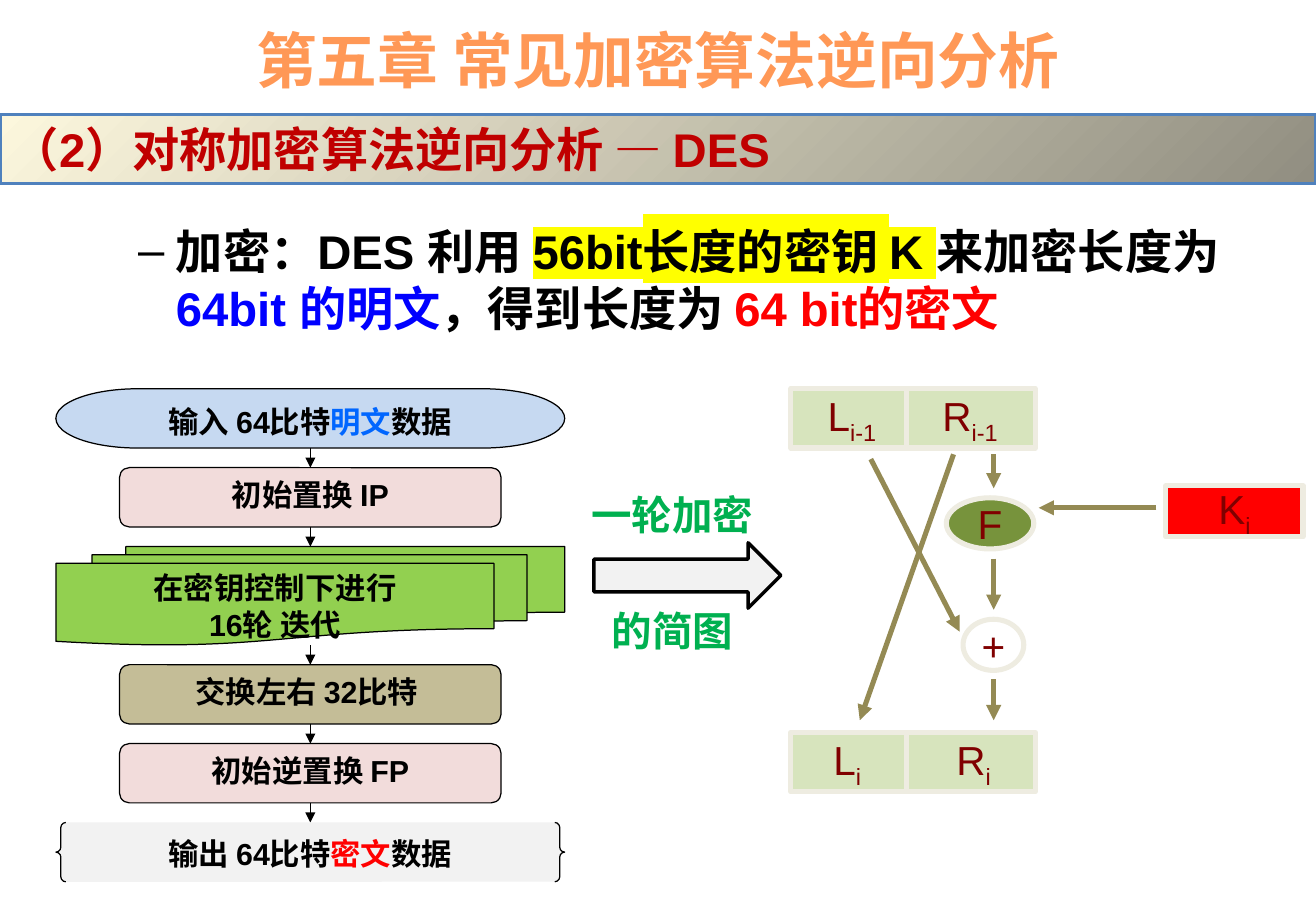
from lxml import etree
from pptx import Presentation
from pptx.dml.color import RGBColor
from pptx.enum.shapes import MSO_CONNECTOR, MSO_SHAPE
from pptx.enum.text import MSO_ANCHOR, PP_ALIGN
from pptx.oxml.ns import qn
from pptx.util import Cm, Pt

CREAM, OLIVE, MAROON = "EEECE1", "948A54", "800000"


def color(code):
    return RGBColor.from_string(code)


def child(parent, tag, **attrs):
    return etree.SubElement(parent, qn(tag), attrs)


def mark(run, code):
    """Highlight a run; the element belongs right after its fill."""
    light = etree.Element(qn("a:highlight"))
    child(light, "a:srgbClr", val=code)
    run.font.fill._xPr.find(qn("a:solidFill")).addnext(light)


def write(shape, *lines, size=18, ink="000000", bold=True, align=PP_ALIGN.CENTER,
          anchor=MSO_ANCHOR.TOP, wrap=True, gap=0, left=None, tab=None):
    """Each line is a list of runs: a string or (string, options)."""
    frame = shape.text_frame
    frame.word_wrap = wrap
    frame.vertical_anchor = anchor
    if left is not None:
        frame.margin_left = Cm(left)
    for i, line in enumerate(lines):
        para = frame.add_paragraph() if i else frame.paragraphs[0]
        para.alignment = align
        if i and gap:
            para.space_before = Pt(gap)
        if tab:
            stops = child(para._p.get_or_add_pPr(), "a:tabLst")
            child(stops, "a:tab", pos=str(Cm(tab)), algn="l")
        for part in line:
            text, look = (part, {}) if isinstance(part, str) else part
            run = para.add_run()
            run.text = text
            font = run.font
            font.name, font.size, font.bold = "Arial", Pt(size), bold
            font.color.rgb = color(look.get("ink", ink))
            if "mark" in look:
                mark(run, look["mark"])
            if look.get("sub"):
                run._r.get_or_add_rPr().set("baseline", "-25000")
    return shape


def label(slide, x, y, w, h):
    return slide.shapes.add_textbox(Cm(x), Cm(y), Cm(w), Cm(h))


def block(slide, kind, x, y, w, h, fill, edge="000000", width=0.75):
    shape = slide.shapes.add_shape(kind, Cm(x), Cm(y), Cm(w), Cm(h))
    shape.shadow.inherit = False
    shape.fill.solid()
    shape.fill.fore_color.rgb = color(fill)
    shape.line.color.rgb = color(edge)
    shape.line.width = Pt(width)
    return shape


def link(slide, start, end, ink="000000", width=0.75, head=True):
    line = slide.shapes.add_connector(
        MSO_CONNECTOR.STRAIGHT, Cm(start[0]), Cm(start[1]), Cm(end[0]), Cm(end[1]))
    line.line.color.rgb = color(ink)
    line.line.width = Pt(width)
    if head:
        child(line.line._get_or_add_ln(), "a:tailEnd", type="triangle")
    child(line._element.spPr, "a:effectLst")


def banner(slide):
    band = block(slide, MSO_SHAPE.RECTANGLE, 0, 2.39, 27.52, 1.45, "FCF7DD", "4F81BD", 2)
    band.fill.gradient()
    for stop, code in zip(band.fill.gradient_stops, ("FCF7DD", "918E81")):
        stop.color.rgb = color(code)
    # Radial shade that starts in the top left corner
    grad = band._element.spPr.find(qn("a:gradFill"))
    grad.remove(grad.find(qn("a:lin")))
    path = child(grad, "a:path", path="circle")
    child(path, "a:fillToRect", r="100000", b="100000")
    write(band, ["（2）对称加密算法逆向分析 — DES"], size=28, ink="C00000", align=PP_ALIGN.LEFT)


def point(slide):
    box = label(slide, 1.37, 4.52, 24.77, 13.21)
    props = box.text_frame.paragraphs[0]._p.get_or_add_pPr()
    props.set("marL", str(Cm(2.06)))
    props.set("indent", str(Cm(-0.79)))
    child(props, "a:buFont", typeface="Arial")
    child(props, "a:buChar", char="–")
    write(box, ["加密：DES 利用 ", ("56bit长度的密钥 K ", {"mark": "FFFF00"}),
                "来加密长度为 ", ("64bit 的明文", {"ink": "0000FF"}),
                "，得到长度为 ", ("64 bit的密文", {"ink": "FF0000"})],
          size=28, align=PP_ALIGN.LEFT)


def flow(slide):
    """Column of steps, joined by short arrows."""
    mid, wide, slim, low, tall, gap = 6.49, 10.64, 7.98, 1.24, 2.06, 0.41
    steps = [
        (MSO_SHAPE.FLOWCHART_TERMINATOR, wide, low, "C6D9F1",
         [["输入 64比特", ("明文", {"ink": "0066FF"}), "数据"]]),
        (MSO_SHAPE.ROUNDED_RECTANGLE, slim, low, "F2DCDB", [["初始置换 IP"]]),
        (MSO_SHAPE.FLOWCHART_MULTIDOCUMENT, wide, tall, "92D050",
         [["在密钥控制下进行"], ["16轮 迭代"]]),
        (MSO_SHAPE.ROUNDED_RECTANGLE, slim, low, "C4BD97", [["交换左右 32比特 "]]),
        (MSO_SHAPE.ROUNDED_RECTANGLE, slim, low, "F2DCDB", [["初始逆置换 FP"]]),
        (MSO_SHAPE.DOUBLE_BRACE, wide, low, "F2F2F2",
         [["输出 64比特", ("密文", {"ink": "FF0000"}), "数据"]]),
    ]
    top = 8.13
    for i, (kind, w, h, fill, lines) in enumerate(steps):
        if i:
            link(slide, (mid, top - gap), (mid, top))
        write(block(slide, kind, mid - w / 2, top, w, h, fill), *lines)
        top += h + gap


def pair(slide, top, sub, left, tab):
    """Left and right half of the data, split by a bar."""
    box = block(slide, MSO_SHAPE.RECTANGLE, 16.54, top, 5.11, 1.24, "D7E4BD", CREAM, 3)
    low = (sub, {"sub": True})
    write(box, ["L", low, "\tR", low], size=24, ink=MAROON, bold=False,
          align=PP_ALIGN.LEFT, anchor=MSO_ANCHOR.MIDDLE, left=left, tab=tab)
    link(slide, (18.95, top), (18.95, top + 1.24), CREAM, 3, head=False)


def node(slide, kind, x, y, w, fill, *runs):
    write(block(slide, kind, x, y, w, 1.07, fill, CREAM, 3), runs, size=24, ink=MAROON,
          bold=False, anchor=MSO_ANCHOR.MIDDLE, wrap=False)


def round_map(slide):
    pair(slide, 8.13, "i-1", 0.77, 2.4)
    pair(slide, 15.32, "i", 0.89, 2.57)
    node(slide, MSO_SHAPE.OVAL, 19.79, 10.41, 1.83, "77933C", "F")
    node(slide, MSO_SHAPE.OVAL, 20.14, 12.95, 1.27, "FFFFFF", "+")
    node(slide, MSO_SHAPE.RECTANGLE, 24.38, 10.16, 2.87, "FF0000", "K", ("i", {"sub": True}))
    axis = 20.78
    for start, end in (
        ((19.94, 9.5), (17.98, 15.06)),
        ((18.21, 9.6), (20.07, 13.21)),
        ((axis, 9.5), (axis, 10.21)),
        ((axis, 11.68), (axis, 12.75)),
        ((axis, 14.2), (axis, 15.06)),
        ((24.18, 10.62), (21.72, 10.62)),
    ):
        link(slide, start, end, OLIVE, 3)


def main():
    deck = Presentation()
    deck.slide_width, deck.slide_height = Cm(27.52), Cm(19.05)
    slide = deck.slides.add_slide(deck.slide_layouts[6])

    # Heading and main point
    write(label(slide, 1.37, 0.33, 24.77, 1.8), ["第五章 常见加密算法逆向分析"],
          size=36, ink="FF9856", anchor=MSO_ANCHOR.MIDDLE)
    point(slide)
    banner(slide)

    # Whole cipher on the left, one round on the right
    flow(slide)
    round_map(slide)

    # Arrow between the two
    write(label(slide, 11.56, 10.13, 5, 3.84), ["一轮加密"], ["的简图"],
          size=24, ink="00B050", gap=40)
    block(slide, MSO_SHAPE.RIGHT_ARROW, 12.42, 11.35, 3.91, 1.37, "F2F2F2", width=2)

    deck.save("out.pptx")


if __name__ == "__main__":
    main()
